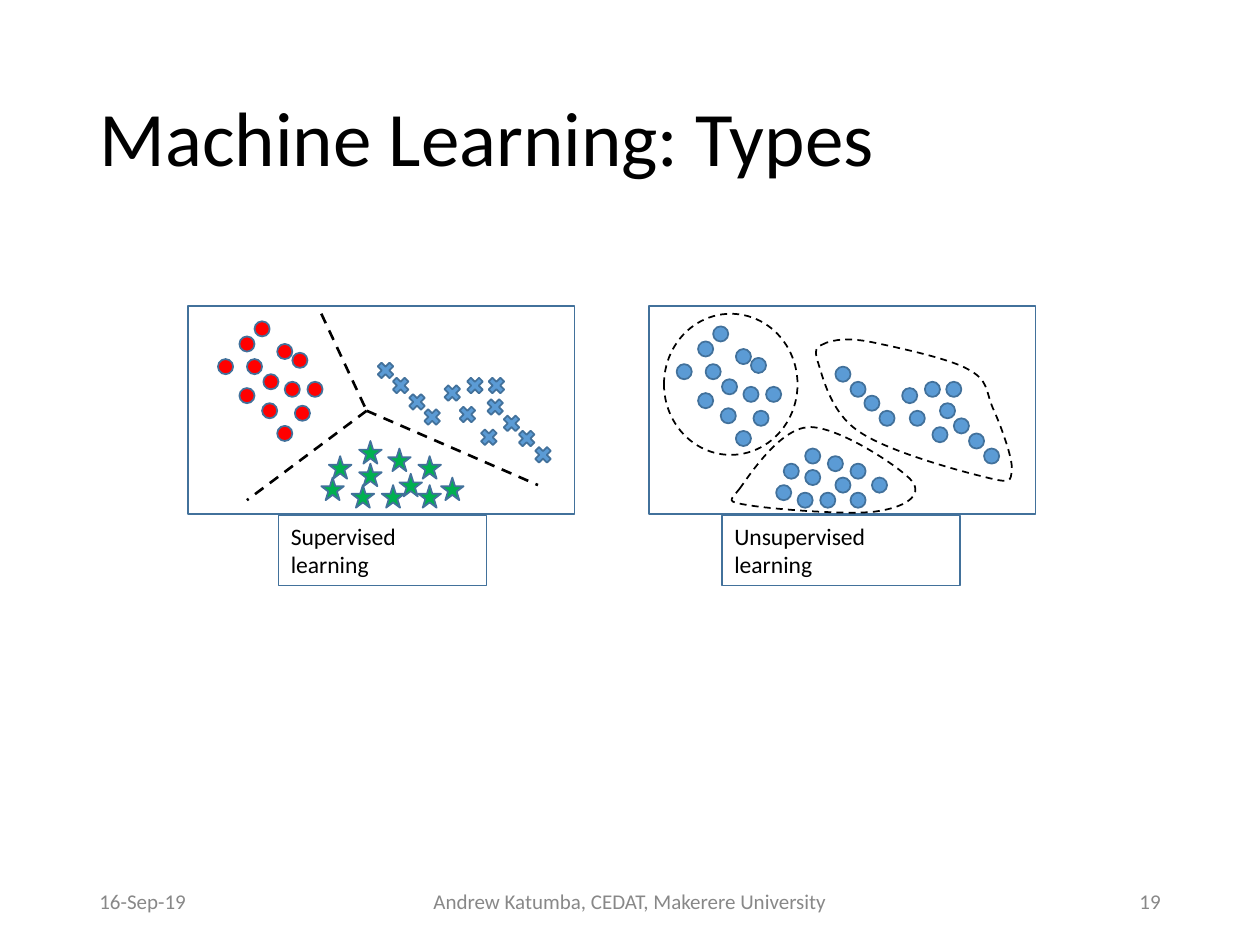
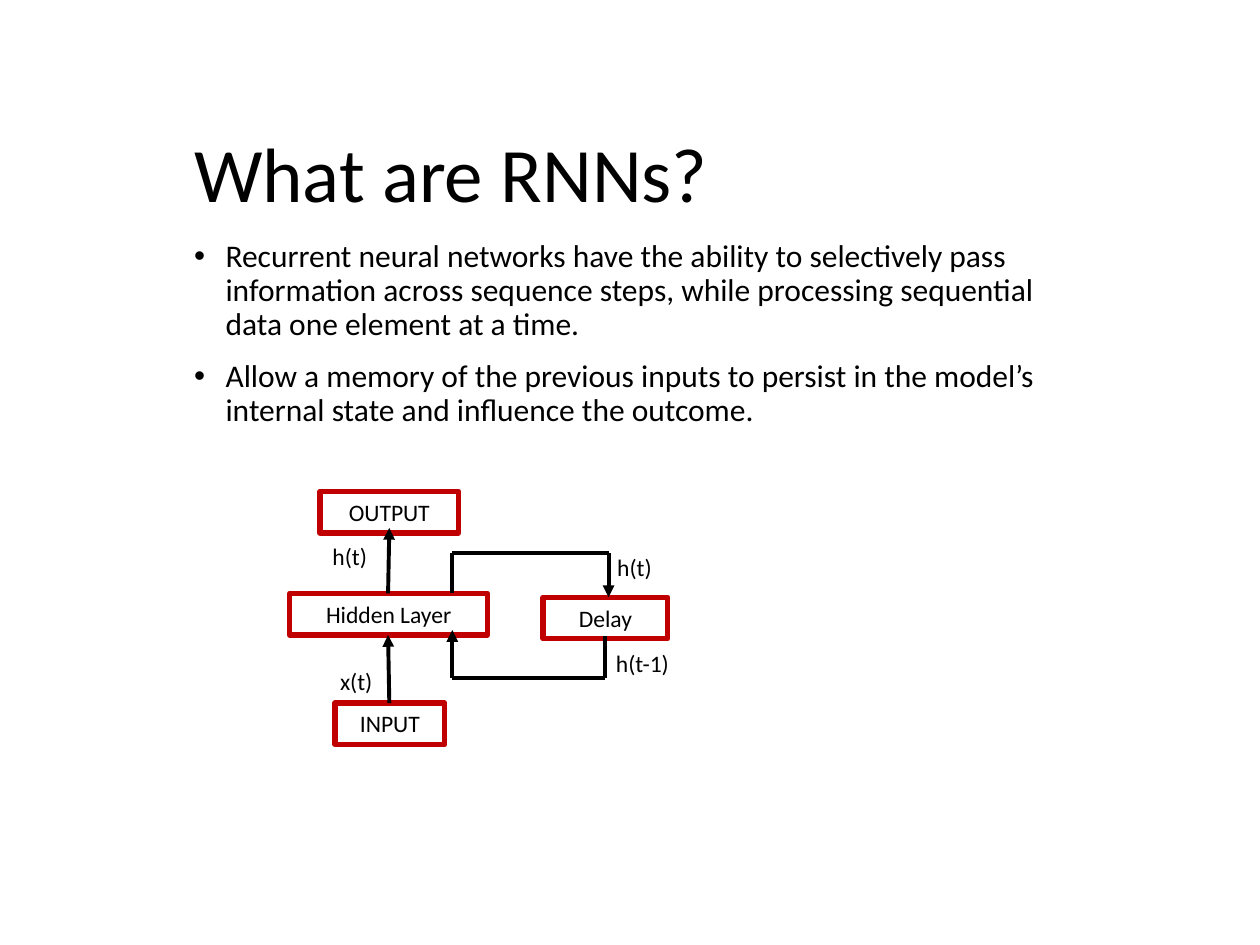
from dataclasses import dataclass
from itertools import pairwise

from lxml.etree import SubElement
from pptx import Presentation
from pptx.dml.color import RGBColor
from pptx.enum.dml import MSO_LINE
from pptx.enum.shapes import MSO_CONNECTOR, MSO_SHAPE
from pptx.enum.text import MSO_ANCHOR as Anchor, MSO_AUTO_SIZE as AutoSize, PP_ALIGN as Align
from pptx.oxml.ns import qn
from pptx.util import Emu, Pt

# Shared look: 100 px to the inch
PX = 9144
FONT = "Calibri"
BLACK = RGBColor(0x00, 0x00, 0x00)
WHITE = RGBColor(0xFF, 0xFF, 0xFF)
GREY = RGBColor(0x88, 0x88, 0x88)
STEEL = RGBColor(0x42, 0x71, 0x9B)
BLUE = RGBColor(0x5B, 0x9B, 0xD5)
RED = RGBColor(0xFF, 0x00, 0x00)
GREEN = RGBColor(0x00, 0xB0, 0x50)
CRIMSON = RGBColor(0xC0, 0x00, 0x00)
TITLE_PT, BODY_PT, LABEL_PT, FOOTER_PT = 44, 18, 13.5, 12

Point = tuple[int, int]


@dataclass(frozen=True)
class Box:
    left: int
    top: int
    width: int
    height: int

    def emu(self) -> list[Emu]:
        return [Emu(v * PX) for v in (self.left, self.top, self.width, self.height)]


@dataclass(frozen=True)
class Label:
    text: str
    box: Box
    size: float = LABEL_PT
    color: RGBColor = BLACK
    align: Align = Align.LEFT


@dataclass(frozen=True)
class Cluster:
    mark: MSO_SHAPE
    size: int
    color: RGBColor
    corners: list[Point]


# Drawing functions
def add_run(paragraph, text: str, size: float, color: RGBColor = BLACK) -> None:
    run = paragraph.add_run()
    run.text = text
    run.font.name = FONT
    run.font.size = Pt(size)
    run.font.color.rgb = color


def write(frame, label: Label, anchor: Anchor = Anchor.TOP) -> None:
    frame.word_wrap = True
    frame.vertical_anchor = anchor
    frame.paragraphs[0].alignment = label.align
    add_run(frame.paragraphs[0], label.text, label.size, label.color)


def place(placeholder, box: Box) -> None:
    placeholder.left, placeholder.top, placeholder.width, placeholder.height = box.emu()
    placeholder.text_frame.auto_size = AutoSize.NONE


def add_title(slide, text: str, box: Box) -> None:
    place(slide.shapes.title, box)
    frame = slide.shapes.title.text_frame
    write(frame, Label(text, box, TITLE_PT), Anchor.MIDDLE)
    frame.paragraphs[0].line_spacing = 0.9


def add_bullets(body, box: Box, points: list[str]) -> None:
    place(body, box)
    frame = body.text_frame
    for i, text in enumerate(points):
        paragraph = frame.add_paragraph() if i else frame.paragraphs[0]
        props = paragraph._p.get_or_add_pPr()
        props.set("marL", str(25 * PX))
        props.set("indent", str(-25 * PX))
        color = SubElement(props, qn("a:buClr"))
        SubElement(color, qn("a:srgbClr"), val=str(BLACK))
        SubElement(props, qn("a:buFont"), typeface="Arial")
        SubElement(props, qn("a:buChar"), char="•")
        paragraph.line_spacing = 0.9
        paragraph.space_before = Pt(10 if i else 0)
        add_run(paragraph, text, BODY_PT)


def add_text(shapes, label: Label, anchor: Anchor = Anchor.TOP) -> None:
    write(shapes.add_textbox(*label.box.emu()).text_frame, label, anchor)


def style(shape, fill: RGBColor | None, line: RGBColor, weight: float, dashed: bool = False) -> None:
    shape.shadow.inherit = False
    if fill is None:
        shape.fill.background()
    else:
        shape.fill.solid()
        shape.fill.fore_color.rgb = fill
    shape.line.color.rgb = line
    shape.line.width = Pt(weight)
    if dashed:
        shape.line.dash_style = MSO_LINE.DASH


def add_preset(shapes, preset: MSO_SHAPE, box: Box, fill: RGBColor | None,
               line: RGBColor = STEEL, weight: float = 1, dashed: bool = False):
    shape = shapes.add_shape(preset, *box.emu())
    style(shape, fill, line, weight, dashed)
    return shape


def add_labelled_box(shapes, label: Label, fill: RGBColor | None, line: RGBColor, weight: float) -> None:
    shape = add_preset(shapes, MSO_SHAPE.RECTANGLE, label.box, fill, line, weight)
    write(shape.text_frame, label)
    shape.text_frame.auto_size = AutoSize.SHAPE_TO_FIT_TEXT


def add_cluster(shapes, cluster: Cluster) -> None:
    for left, top in cluster.corners:
        add_preset(shapes, cluster.mark, Box(left, top, cluster.size, cluster.size), cluster.color)


def add_line(shapes, start: Point, end: Point, weight: float,
             dashed: bool = False, arrow: bool = False) -> None:
    ends = [Emu(v * PX) for v in (*start, *end)]
    connector = shapes.add_connector(MSO_CONNECTOR.STRAIGHT, *ends)
    connector.line.color.rgb = BLACK
    connector.line.width = Pt(weight)
    if dashed:
        connector.line.dash_style = MSO_LINE.DASH
    props = connector.element.spPr
    if arrow:
        SubElement(props.find(qn("a:ln")), qn("a:tailEnd"), type="triangle")
    SubElement(props, qn("a:effectLst"))


def add_route(shapes, stops: list[Point]) -> None:
    """Straight legs through the stops, with an arrowhead on the last."""
    for start, end in pairwise(stops):
        add_line(shapes, start, end, 2.25, arrow=end == stops[-1])


def add_outline(shapes, knots: list[Point]) -> None:
    """Closed dashed Bezier outline: a start, then two controls and an end per curve."""
    builder = shapes.build_freeform(*knots[0], scale=PX)
    builder.add_line_segments(knots[1:], close=True)
    outline = builder.convert_to_shape()
    # Turn each three straight segments into one curve
    segments = list(outline.element.iter(qn("a:lnTo")))
    for i in range(0, len(segments), 3):
        curve = segments[i].makeelement(qn("a:cubicBezTo"))
        segments[i].addprevious(curve)
        for segment in segments[i:i + 3]:
            curve.append(segment[0])
            segment.getparent().remove(segment)
    style(outline, None, BLACK, 1, dashed=True)


# Slide 1 content
FOOTERS = [
    Label("16-Sep-19", Box(69, 695, 225, 40), FOOTER_PT, GREY),
    Label("Andrew Katumba, CEDAT, Makerere University", Box(331, 695, 338, 40),
          FOOTER_PT, GREY, Align.CENTER),
    Label("19", Box(706, 695, 225, 40), FOOTER_PT, GREY, Align.RIGHT),
]
PANELS = [Box(left, 243, 307, 165) for left in (149, 515)]
CAPTIONS = [
    Label("Supervised learning", Box(221, 409, 165, 56)),
    Label("Unsupervised learning", Box(573, 409, 189, 56)),
]
DOT, DOT_SIZE, SIGN_SIZE = MSO_SHAPE.FLOWCHART_CONNECTOR, 12, 18
ROUND_GROUP = [(190, 267), (173, 285), (196, 285), (202, 255), (226, 303), (220, 273), (209, 297),
               (208, 320), (234, 322), (220, 338), (244, 303), (232, 280), (190, 308)]
CROSSES = [(297, 285), (309, 297), (322, 310), (334, 322), (350, 303), (362, 320), (379, 338),
           (384, 314), (397, 327), (409, 339), (385, 297), (422, 352), (368, 297)]
STARS = [(285, 350), (285, 368), (308, 356), (303, 385), (317, 376), (332, 385), (332, 362),
         (350, 379), (261, 362), (279, 385), (255, 379)]
LONG_GROUP = [(675, 303), (698, 326), (686, 314), (716, 308), (663, 291), (734, 303), (746, 320),
              (740, 339), (751, 303), (757, 332), (722, 326), (781, 356), (769, 344)]
LOW_GROUP = [(616, 385), (622, 368), (639, 356), (657, 362), (633, 391), (639, 373), (651, 391),
             (675, 368), (692, 379), (663, 379), (675, 391)]
CLUSTERS = [
    Cluster(DOT, DOT_SIZE, RED, ROUND_GROUP),
    Cluster(MSO_SHAPE.MATH_MULTIPLY, SIGN_SIZE, BLUE, CROSSES),
    Cluster(MSO_SHAPE.STAR_5_POINT, SIGN_SIZE, GREEN, STARS),
    Cluster(DOT, DOT_SIZE, BLUE, [(x + 364, y + 4) for x, y in ROUND_GROUP]),
    Cluster(DOT, DOT_SIZE, BLUE, LONG_GROUP),
    Cluster(DOT, DOT_SIZE, BLUE, LOW_GROUP),
]
BORDER_HUB = (291, 326)
BORDERS = [((255, 249), BORDER_HUB), (BORDER_HUB, (196, 397)), (BORDER_HUB, (427, 385))]
ROUND_OUTLINE = Box(527, 249, 106, 112)
LOW_OUTLINE = [(587, 388), (595, 377), (619, 340), (642, 339), (665, 338), (715, 371), (724, 382),
               (733, 394), (717, 403), (695, 406), (674, 409), (612, 404), (594, 401),
               (576, 398), (579, 398), (587, 388)]
LONG_OUTLINE = [(656, 272), (650, 275), (645, 275), (649, 287), (653, 299), (659, 327), (681, 342),
                (703, 358), (762, 374), (783, 379), (803, 384), (802, 382), (803, 373),
                (804, 364), (794, 337), (788, 324), (782, 310), (785, 302), (768, 293),
                (752, 284), (708, 275), (689, 271), (670, 268), (663, 270), (656, 272)]

# Slide 2 content
RNN_POINTS = [
    "Recurrent neural networks have the ability to selectively pass information across sequence "
    "steps, while processing sequential data one element at a time.",
    "Allow a memory of the previous inputs to persist in the model’s internal state and "
    "influence the outcome.",
]
LAYERS = [
    Label("INPUT", Box(266, 558, 87, 33), align=Align.CENTER),
    Label("Hidden Layer", Box(230, 471, 157, 33), align=Align.CENTER),
    Label("OUTPUT", Box(254, 390, 110, 33), align=Align.CENTER),
    Label("Delay", Box(431, 474, 99, 33), align=Align.CENTER),
]
FORWARD_ROUTES = [[(309, 558), (308, 504)], [(308, 471), (309, 419)]]
LOOP_ROUTES = [
    [(359, 471), (359, 439), (483, 439), (483, 474)],
    [(480, 505), (480, 538), (359, 538), (359, 500)],
]
SIGNALS = [
    Label("x(t)", Box(260, 524, 52, 33)),
    Label("h(t)", Box(254, 425, 52, 33)),
    Label("h(t)", Box(480, 434, 52, 33)),
    Label("h(t-1)", Box(479, 510, 72, 33)),
]


def build_types(deck) -> None:
    slide = deck.slides.add_slide(deck.slide_layouts.get_by_name("Title Only"))
    shapes = slide.shapes
    add_title(slide, "Machine Learning: Types", Box(69, 40, 862, 145))
    for footer in FOOTERS:
        add_text(shapes, footer, Anchor.MIDDLE)
    for panel in PANELS:
        add_preset(shapes, MSO_SHAPE.RECTANGLE, panel, WHITE)
    for caption in CAPTIONS:
        add_labelled_box(shapes, caption, None, STEEL, 0.75)
    for cluster in CLUSTERS:
        add_cluster(shapes, cluster)
    for start, end in BORDERS:
        add_line(shapes, start, end, 1.5, dashed=True)
    add_preset(shapes, MSO_SHAPE.OVAL, ROUND_OUTLINE, None, BLACK, dashed=True)
    for knots in (LOW_OUTLINE, LONG_OUTLINE):
        add_outline(shapes, knots)


def build_rnns(deck) -> None:
    slide = deck.slides.add_slide(deck.slide_layouts.get_by_name("Title and Content"))
    shapes = slide.shapes
    add_title(slide, "What are RNNs?", Box(144, 94, 638, 94))
    add_bullets(slide.placeholders[1], Box(144, 186, 719, 338), RNN_POINTS)
    for layer in LAYERS:
        add_labelled_box(shapes, layer, WHITE, CRIMSON, 3)
    for route in FORWARD_ROUTES:
        add_route(shapes, route)
    for route in LOOP_ROUTES:
        add_route(shapes.add_group_shape().shapes, route)
    for signal in SIGNALS:
        add_text(shapes, signal)


def main() -> None:
    deck = Presentation()
    deck.slide_width, deck.slide_height = Emu(1000 * PX), Emu(750 * PX)
    build_types(deck)
    build_rnns(deck)
    deck.save("out.pptx")


if __name__ == "__main__":
    main()
